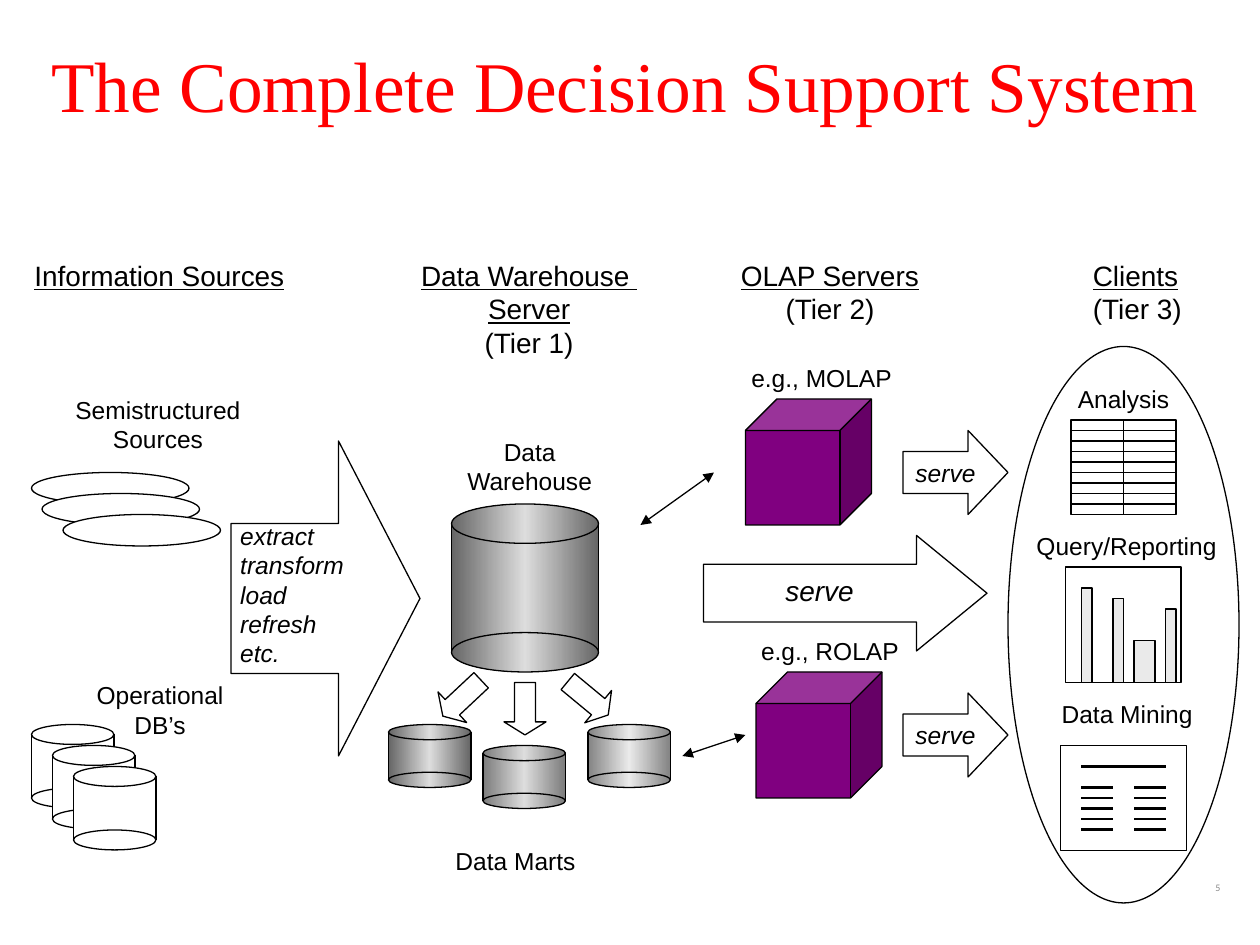
from copy import deepcopy
from dataclasses import dataclass

from lxml.etree import SubElement
from pptx import Presentation
from pptx.dml.color import RGBColor
from pptx.enum.shapes import MSO_CONNECTOR, MSO_SHAPE
from pptx.enum.text import MSO_ANCHOR, MSO_AUTO_SIZE, PP_ALIGN
from pptx.oxml.ns import qn
from pptx.util import Cm, Pt


@dataclass(frozen=True)
class Theme:
    black: str = "000000"
    white: str = "FFFFFF"
    title: str = "FF0000"
    number: str = "898989"
    cube: str = "800080"
    bar: str = "EAEAEA"
    steel: tuple = ("666666", "DDDDDD")
    mid_steel: tuple = ("7C7C7C", "DDDDDD")
    light_steel: tuple = ("838383", "EAEAEA")
    body_font: str = "Arial"
    title_font: str = "Times New Roman"
    number_font: str = "Calibri"
    title_size: float = 40.7
    heading_size: float = 16
    label_size: float = 14
    number_size: float = 5.7
    thin: float = 0.75
    medium: float = 1
    thick: float = 1.5


def grid(steps):
    """The slide is laid out on a grid of twelve steps to the inch."""
    return Cm(steps * 2.54 / 12)


class Diagram:
    def __init__(self, slide, theme):
        self.slide = slide
        self.theme = theme

    def style_text(self, paragraph, size, align=PP_ALIGN.CENTER, font=None,
                   color=None, italic=False, underline=False):
        paragraph.alignment = align
        paragraph.font.name = font or self.theme.body_font
        paragraph.font.size = Pt(size)
        paragraph.font.color.rgb = RGBColor.from_string(color or self.theme.black)
        paragraph.font.italic = italic
        paragraph.font.underline = underline

    def title(self, text, x, y, w, h):
        title = self.slide.shapes.title
        title.left, title.top, title.width, title.height = map(grid, (x, y, w, h))
        frame = title.text_frame
        frame.text = text
        frame.auto_size = MSO_AUTO_SIZE.NONE
        frame.vertical_anchor = MSO_ANCHOR.MIDDLE
        frame.paragraphs[0].line_spacing = 0.9
        self.style_text(frame.paragraphs[0], self.theme.title_size,
                        font=self.theme.title_font, color=self.theme.title)

    def label(self, lines, x, y, w, size=None, underlined=0, **style):
        """Stack lines in a box of fitting height; the first ones may be underlined."""
        size = size or self.theme.label_size
        height = 1.2 + len(lines) * size / 5
        frame = self.slide.shapes.add_textbox(*map(grid, (x, y, w, height))).text_frame
        frame.word_wrap = False
        frame.auto_size = MSO_AUTO_SIZE.SHAPE_TO_FIT_TEXT
        frame.text = "\n".join(lines)
        for index, paragraph in enumerate(frame.paragraphs):
            self.style_text(paragraph, size, underline=index < underlined, **style)

    def page_number(self, number, x, y, w, h):
        frame = self.slide.shapes.add_textbox(*map(grid, (x, y, w, h))).text_frame
        frame.word_wrap = True
        frame.vertical_anchor = MSO_ANCHOR.MIDDLE
        frame.text = number
        frame.paragraphs[0].line_spacing = 0.8
        self.style_text(frame.paragraphs[0], self.theme.number_size, PP_ALIGN.RIGHT,
                        self.theme.number_font, self.theme.number)

    def shape(self, kind, x, y, w, h, fill=None, line=None, width=None,
              adjust=(), rotation=0, text=None, into=None):
        """Fill is None, one colour, or an (edge, middle) pair for a gradient."""
        shape = (into or self.slide).shapes.add_shape(kind, *map(grid, (x, y, w, h)))
        shape.shadow.inherit = False
        shape.rotation = rotation
        for index, value in enumerate(adjust):
            shape.adjustments[index] = value
        if fill is None:
            shape.fill.background()
        elif isinstance(fill, tuple):
            self.fill_gradient(shape, *fill)
        else:
            shape.fill.solid()
            shape.fill.fore_color.rgb = RGBColor.from_string(fill)
        shape.line.color.rgb = RGBColor.from_string(line or self.theme.black)
        shape.line.width = Pt(width or self.theme.thin)
        if text:
            shape.text_frame.text = text
            shape.text_frame.word_wrap = False
            shape.text_frame.vertical_anchor = MSO_ANCHOR.MIDDLE
            self.style_text(shape.text_frame.paragraphs[0], self.theme.label_size,
                            italic=True)

    def fill_gradient(self, shape, edge, middle):
        shape.fill.gradient()
        shape.fill.gradient_angle = 0
        stops = shape._element.spPr.find(".//" + qn("a:gsLst"))
        stops.insert(1, deepcopy(stops[0]))
        for stop, color, position in zip(shape.fill.gradient_stops,
                                         (edge, middle, edge), (0, 0.5, 1)):
            stop.color.rgb = RGBColor.from_string(color)
            stop.position = position

    def line(self, x1, y1, x2, y2, width=None, arrows=False, into=None):
        line = (into or self.slide).shapes.add_connector(
            MSO_CONNECTOR.STRAIGHT, *map(grid, (x1, y1, x2, y2)))
        line.line.color.rgb = RGBColor.from_string(self.theme.black)
        line.line.width = Pt(width or self.theme.thin)
        if arrows:
            for end in ("a:headEnd", "a:tailEnd"):
                SubElement(line.line._get_or_add_ln(), qn(end), type="triangle")
        SubElement(line._element.spPr, qn("a:effectLst"))

    def cylinder(self, x, y, w, h, rim, fill):
        group = self.slide.shapes.add_group_shape()
        top, bottom = y + rim / 2, y + h - rim / 2
        self.shape(MSO_SHAPE.RECTANGLE, x, top, w, bottom - top, fill,
                   self.theme.white, into=group)
        for side in (x, x + w):
            self.line(side, top, side, bottom, into=group)
        for rim_y in (y, y + h - rim):
            self.shape(MSO_SHAPE.OVAL, x, rim_y, w, rim, fill, into=group)


def draw_sources(diagram):
    theme = diagram.theme
    for x, y in ((3, 45), (4, 47), (6, 49)):
        diagram.shape(MSO_SHAPE.OVAL, x, y, 15, 3, theme.white)
    for step in (0, 2, 4):
        diagram.cylinder(3 + step, 69 + step, 7.85, 7.95, 1.9, theme.white)
    diagram.label(["Operational", "DB’s"], 7.7, 64.2, 15.1)
    diagram.label(["Semistructured", "Sources"], 5.7, 37, 18.7)
    diagram.shape(MSO_SHAPE.RIGHT_ARROW, 22, 42, 18, 30, adjust=(0.476, 0.431))
    diagram.label(["extract", "transform", "load", "refresh", "etc."],
                  21.7, 49, 12.8, align=PP_ALIGN.LEFT, italic=True)


def draw_warehouse(diagram):
    theme = diagram.theme
    diagram.cylinder(43, 48, 14, 16, 3.75, theme.steel)
    for x, y, steel in ((37, 69, theme.steel), (46, 71, theme.mid_steel),
                        (56, 69, theme.light_steel)):
        diagram.cylinder(x, y, 7.85, 6, 1.45, steel)
    for x, y, rotation in ((42, 64, 46.9), (48, 65, 0), (54, 64, 309.6)):
        diagram.shape(MSO_SHAPE.DOWN_ARROW, x, y, 4, 5, adjust=(0.5, 0.31),
                      rotation=rotation)
    diagram.label(["Data Marts"], 41.9, 80, 14.4)
    diagram.label(["Data", "Warehouse"], 43, 41, 14.9)


def draw_olap(diagram):
    theme = diagram.theme
    for x, y in ((72, 64), (71, 38)):
        diagram.shape(MSO_SHAPE.CUBE, x, y, 12, 12, theme.cube, adjust=(0.25,))
    diagram.label(["e.g., MOLAP"], 70.1, 34, 16.3)
    diagram.label(["e.g., ROLAP"], 71, 60, 16.1)
    diagram.shape(MSO_SHAPE.RIGHT_ARROW, 67, 51, 27, 11, adjust=(0.5, 0.61))
    diagram.label(["serve"], 73.3, 54, 9.5, theme.heading_size, italic=True)
    for y in (41, 66):
        diagram.shape(MSO_SHAPE.RIGHT_ARROW, 86, y, 10, 8, adjust=(0.5, 0.475),
                      text="serve")
    for ends in ((61, 50, 68, 45), (65, 72, 71, 70)):
        diagram.line(*ends, arrows=True)


def draw_clients(diagram):
    theme = diagram.theme
    diagram.shape(MSO_SHAPE.OVAL, 96, 33, 22, 53)

    diagram.label(["Analysis"], 101.2, 36, 11.6)
    diagram.shape(MSO_SHAPE.RECTANGLE, 102, 40, 10, 9, width=theme.medium)
    diagram.line(107, 40, 107, 49)
    for y in range(41, 49):
        diagram.line(102, y, 112, y, theme.medium if y == 41 else theme.thin)

    diagram.label(["Query/Reporting"], 97.2, 50, 20.2)
    diagram.shape(MSO_SHAPE.RECTANGLE, 101.5, 54, 11, 11)
    for x, w, h in ((103, 1, 9), (106, 1, 8), (108, 2, 4), (111, 1, 7)):
        diagram.shape(MSO_SHAPE.RECTANGLE, x, 65 - h, w, h, theme.bar)

    diagram.label(["Data Mining"], 99.6, 66, 15.5)
    diagram.shape(MSO_SHAPE.RECTANGLE, 101, 71, 12, 10)
    diagram.line(103, 73, 111, 73, theme.thick)
    for x in (103, 108):
        for y in range(75, 80):
            diagram.line(x, y, x + 3, y, theme.thick)


def main():
    deck = Presentation()
    deck.slide_width, deck.slide_height = Cm(25.4), Cm(19.05)
    theme = Theme()
    diagram = Diagram(deck.slides.add_slide(deck.slide_layouts[5]), theme)
    diagram.title("The Complete Decision Support System", 2, 1, 115, 15)
    diagram.page_number("5", 89.4, 83.4, 28, 2.5)
    for lines, x, w, underlined, align in (
            (["Information Sources"], 2.1, 26.8, 1, PP_ALIGN.LEFT),
            (["Data Warehouse ", "Server", "(Tier 1)"], 38.6, 23.6, 2, PP_ALIGN.CENTER),
            (["OLAP Servers", "(Tier 2)"], 69.1, 19.9, 1, PP_ALIGN.CENTER),
            (["Clients", "(Tier 3)"], 102.9, 11.5, 1, PP_ALIGN.LEFT)):
        diagram.label(lines, x, 24, w, theme.heading_size, underlined, align=align)
    for draw in (draw_sources, draw_warehouse, draw_olap, draw_clients):
        draw(diagram)
    deck.save("out.pptx")


if __name__ == "__main__":
    main()
